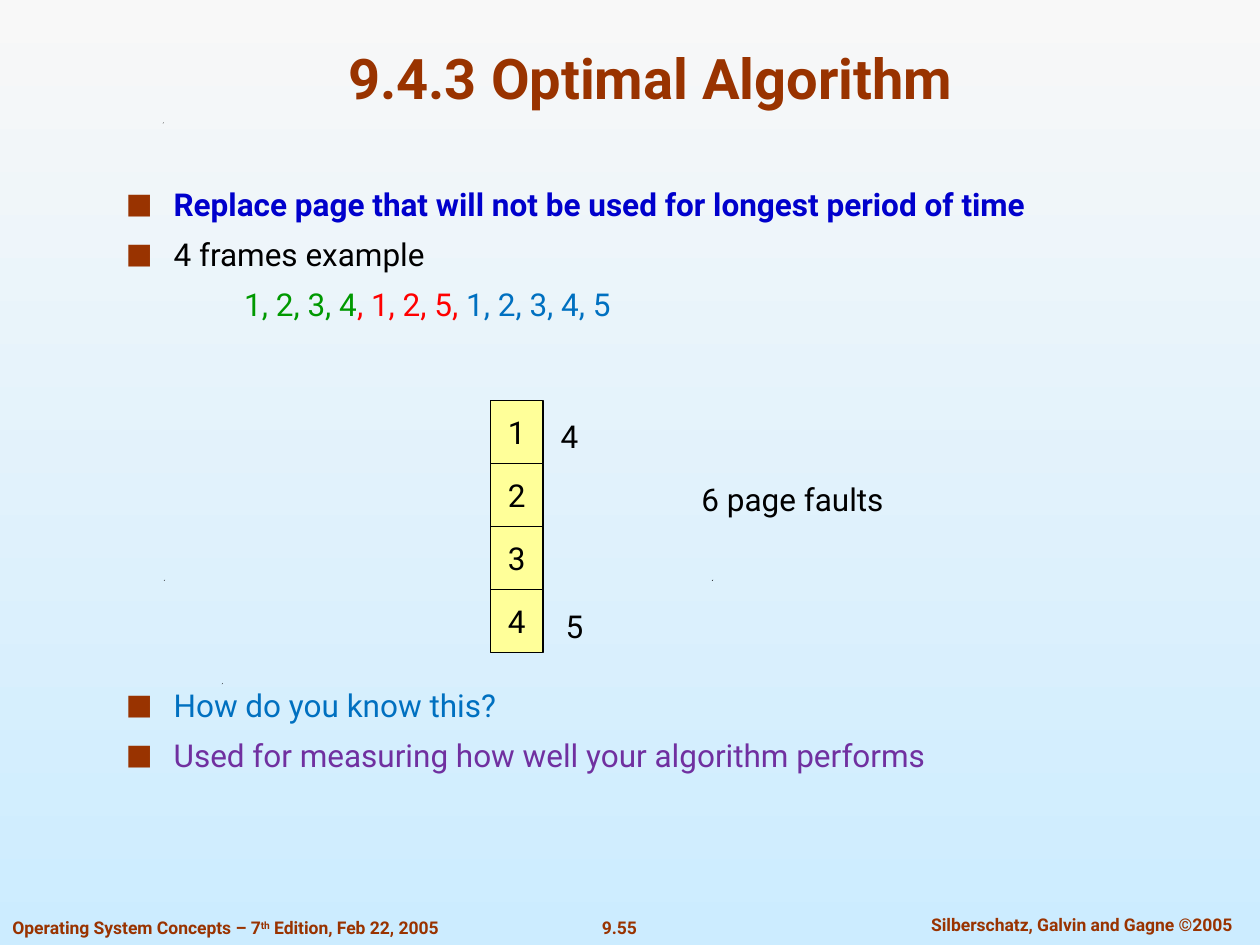
from dataclasses import dataclass

from lxml import etree
from pptx import Presentation
from pptx import util as u
from pptx.dml.color import RGBColor
from pptx.enum import shapes, text
from pptx.oxml.ns import qn


@dataclass(frozen=True)
class Theme:
    font: str = "Roboto"
    title_size: int = 32
    body_size: int = 18
    footer_size: int = 10
    brown: str = "993300"
    black: str = "000000"
    navy: str = "0000CC"
    green: str = "009900"
    red: str = "FF0000"
    blue: str = "0070C0"
    purple: str = "7030A0"
    frame_fill: str = "FFFF99"
    sky: tuple = ("F8F8F8", "CCECFF")


class SlideBuilder:
    def __init__(self, page, theme):
        self.page = page
        self.theme = theme

    def background(self):
        fill = self.page.background.fill
        fill.gradient()
        fill.gradient_angle = 270
        for stop, color in zip(fill.gradient_stops, self.theme.sky):
            stop.color.rgb = RGBColor.from_string(color)

    def style(self, span, size, color, bold=False):
        span.font.name = self.theme.font
        span.font.size = u.Pt(size)
        span.font.bold = bold
        span.font.color.rgb = RGBColor.from_string(color)

    def text_box(self, left, top, width, height):
        box = self.page.shapes.add_textbox(*map(u.Inches, (left, top, width, height)))
        box.text_frame.word_wrap = True
        return box

    def label(self, place, words, size, color, bold=False, wrap=True):
        """Centred single-line text."""
        box = self.text_box(*place)
        box.text_frame.word_wrap = wrap
        box.text_frame.vertical_anchor = text.MSO_ANCHOR.MIDDLE
        self.centre(box, words, size, color, bold)

    def centre(self, box, words, size, color, bold=False):
        box.text_frame.text = words
        para = box.text_frame.paragraphs[0]
        para.alignment = text.PP_ALIGN.CENTER
        self.style(para.runs[0], size, color, bold)

    def spans(self, para, parts, size, bold=False):
        for words, color in parts:
            span = para.add_run()
            span.text = words
            self.style(span, size, color, bold)

    def bullet(self, para):
        props = para._p.get_or_add_pPr()
        color = etree.SubElement(props, qn("a:buClr"))
        etree.SubElement(color, qn("a:srgbClr"), val=self.theme.brown)
        etree.SubElement(props, qn("a:buSzPct"), val="90000")
        etree.SubElement(props, qn("a:buFont"), typeface=self.theme.font)
        etree.SubElement(props, qn("a:buChar"), char="■")

    def indent(self, para, left, first=0):
        props = para._p.get_or_add_pPr()
        props.set("marL", str(u.Inches(left)))
        props.set("indent", str(u.Inches(first)))

    def body(self, place, items):
        """Each item: parts, space before in points, bulleted, bold."""
        frame = self.text_box(*place).text_frame
        for index, (parts, gap, bulleted, bold) in enumerate(items):
            para = frame.add_paragraph() if index else frame.paragraphs[0]
            if bulleted:
                self.indent(para, 0.38, -0.38)
                self.bullet(para)
            else:
                self.indent(para, 0.94)
            if gap:
                para.space_before = u.Pt(gap)
            self.spans(para, parts, self.theme.body_size, bold)

    def memory_frame(self, left, top, width, height, words):
        cell = self.page.shapes.add_shape(
            shapes.MSO_SHAPE.RECTANGLE, *map(u.Inches, (left, top, width, height)))
        cell.shadow.inherit = False
        cell.fill.solid()
        cell.fill.fore_color.rgb = RGBColor.from_string(self.theme.frame_fill)
        cell.line.color.rgb = RGBColor.from_string(self.theme.black)
        cell.line.width = u.Pt(0.75)
        cell.text_frame.word_wrap = False
        cell.text_frame.vertical_anchor = text.MSO_ANCHOR.MIDDLE
        self.centre(cell, words, self.theme.body_size, self.theme.black)

    def speck(self, left, top, width, height):
        x, y, w, h = map(u.Inches, (left, top, width, height))
        outline = self.page.shapes.build_freeform(x, y + h, scale=1.0)
        outline.add_line_segments([(x + w, y), (x + w // 2, y + h)], close=True)
        dot = outline.convert_to_shape()
        dot.shadow.inherit = False
        dot.fill.solid()
        dot.fill.fore_color.rgb = RGBColor.from_string(self.theme.black)
        dot.line.fill.background()

    def edition(self, place):
        color, size = self.theme.brown, self.theme.footer_size
        para = self.text_box(*place).text_frame.paragraphs[0]
        parts = ("Operating System Concepts – 7", "th", " Edition, Feb 22, 2005")
        self.spans(para, [(part, color) for part in parts], size, bold=True)
        para.runs[1].font._element.set("baseline", "30000")


def main():
    deck = Presentation()
    deck.slide_width, deck.slide_height = u.Inches(10), u.Inches(7.5)
    theme = Theme()
    slide = SlideBuilder(deck.slides.add_slide(deck.slide_layouts[6]), theme)
    slide.background()

    # Small background marks
    for left, top in ((1.76, 5.42), (1.3, 4.6), (5.65, 4.6), (1.29, 0.97)):
        slide.speck(left, top, 0.01, 0.01)

    # Footer
    slide.label((4.67, 7.23, 0.49, 0.27), "9.55", theme.footer_size, theme.brown,
                bold=True, wrap=False)
    slide.label((7.1, 7.2, 2.97, 0.27), "Silberschatz, Galvin and Gagne ©2005",
                theme.footer_size, theme.brown, bold=True)
    slide.edition((0, 7.23, 3.78, 0.27))

    # Title and body
    slide.label((0.75, 0.28, 8.83, 0.67), "9.4.3 Optimal Algorithm",
                theme.title_size, theme.brown, bold=True)
    sequence = [("1, 2, 3, 4", theme.green), (", 1, 2, 5, ", theme.red),
                ("1, 2, 3, 4, 5", theme.blue)]
    line_gap, diagram_gap = 7, 207.5
    slide.body((0.9, 1.42, 8.04, 4.9), [
        ([("Replace page that will not be used for longest period of time",
           theme.navy)], 0, True, True),
        ([("4 frames example", theme.black)], line_gap, True, False),
        (sequence, line_gap, False, False),
        ([("How do you know this?", theme.blue)], diagram_gap, True, False),
        ([("Used for measuring how well your algorithm performs",
           theme.purple)], line_gap, True, False),
    ])

    # Memory frames, stacked
    frame_height = 0.5
    for row in range(4):
        slide.memory_frame(3.89, 3.18 + row * frame_height, 0.42, frame_height,
                           str(row + 1))

    # Replacements and result
    for place, words in (((4.35, 3.26, 0.34, 0.4), "4"),
                         ((4.39, 4.77, 0.34, 0.4), "5"),
                         ((5.18, 3.76, 2.22, 0.4), "6 page faults")):
        slide.label(place, words, theme.body_size, theme.black, wrap=False)

    deck.save("out.pptx")


if __name__ == "__main__":
    main()
